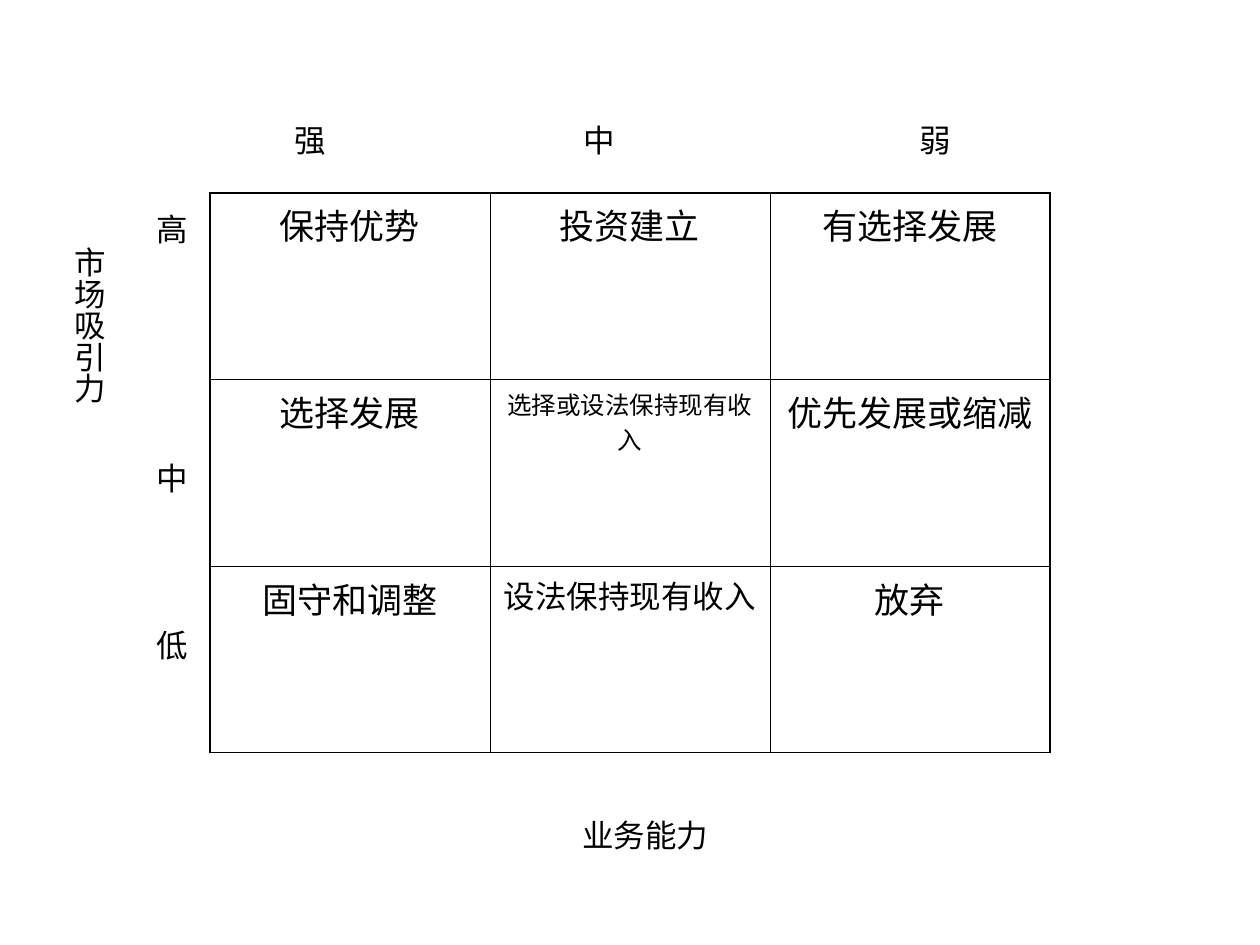
import pptx
import pptx.dml.color
import pptx.enum.text
import pptx.oxml
import pptx.oxml.ns
import pptx.util

COLORS = {"ink": "000000"}
FONT = "Arial"
THICK, THIN = 1.08, 0.45

presentation = pptx.Presentation()
presentation.slide_width = pptx.util.Inches(10)
presentation.slide_height = pptx.util.Inches(7.5)
WIDTH, HEIGHT = presentation.slide_width, presentation.slide_height
slide = presentation.slides.add_slide(presentation.slide_layouts[6])


def write(text_frame, text, size, centered=True):
    paragraph = text_frame.paragraphs[0]
    paragraph.text = text
    if centered:
        paragraph.alignment = pptx.enum.text.PP_ALIGN.CENTER
    paragraph.font.size = pptx.util.Pt(size)
    paragraph.font.name = FONT
    paragraph.font.color.rgb = pptx.dml.color.RGBColor.from_string(COLORS["ink"])


def add_label(text, left, top, width, height, centered=False, vertical=False):
    """Place a label; lengths are inches."""
    shape = slide.shapes.add_textbox(*map(pptx.util.Inches, (left, top, width, height)))
    frame = shape.text_frame
    frame.word_wrap = True
    frame.auto_size = pptx.enum.text.MSO_AUTO_SIZE.SHAPE_TO_FIT_TEXT
    if vertical:
        frame.margin_left = frame.margin_right = pptx.util.Inches(0.05)
        frame.margin_top = frame.margin_bottom = pptx.util.Inches(0.1)
        shape.text_frame._txBody.bodyPr.set("vert", "eaVert")
    write(frame, text, 18, centered)


# Strategy matrix: text and size of each cell
strategies = [
    [("保持优势", 20), ("投资建立", 20), ("有选择发展", 20)],
    [("选择发展", 20), ("选择或设法保持现有收入", 14), ("优先发展或缩减", 20)],
    [("固守和调整", 20), ("设法保持现有收入", 18), ("放弃", 20)],
]
count = len(strategies)
column_width, row_height = WIDTH * 2 // 9, HEIGHT * 16 // 81
graphic_frame = slide.shapes.add_table(
    count, count, WIDTH // 6, pptx.util.Inches(1.53),
    column_width * count, row_height * count)
table = graphic_frame.table
table.first_row = table.horz_banding = False
for column in table.columns:
    column.width = column_width
for row in table.rows:
    row.height = row_height

for row_index, row_cells in enumerate(strategies):
    for column_index, (text, size) in enumerate(row_cells):
        cell = table.cell(row_index, column_index)
        write(cell.text_frame, text, size)

        # Outer edges are thick, inner edges thin
        outer_edges = {
            "L": column_index == 0, "R": column_index == count - 1,
            "T": row_index == 0, "B": row_index == count - 1,
        }
        properties = cell._tc.get_or_add_tcPr()
        for side, is_outer in outer_edges.items():
            line_width = pptx.util.Pt(THICK if is_outer else THIN)
            properties.append(pptx.oxml.parse_xml(
                f'<a:ln{side} {pptx.oxml.ns.nsdecls("a")} w="{line_width}">'
                f'<a:solidFill><a:srgbClr val="{COLORS["ink"]}"/></a:solidFill>'
                f'</a:ln{side}>'))
        cell.fill.background()

# Axis titles
add_label("业务能力", 3.11, 6.43, 4.02, 0.4, centered=True)
add_label("市场吸引力", 0.41, 1.86, 0.5, 3.54, centered=True, vertical=True)

# Levels of market attractiveness, then of business strength
for text, top in (("高", 1.62), ("中", 3.59), ("低", 4.92)):
    add_label(text, 1.14, top, 0.47, 0.4)
for text, left in (("强", 2.24), ("中", 4.53), ("弱", 7.2)):
    add_label(text, left, 0.91, 0.47, 0.4)

presentation.save("out.pptx")
